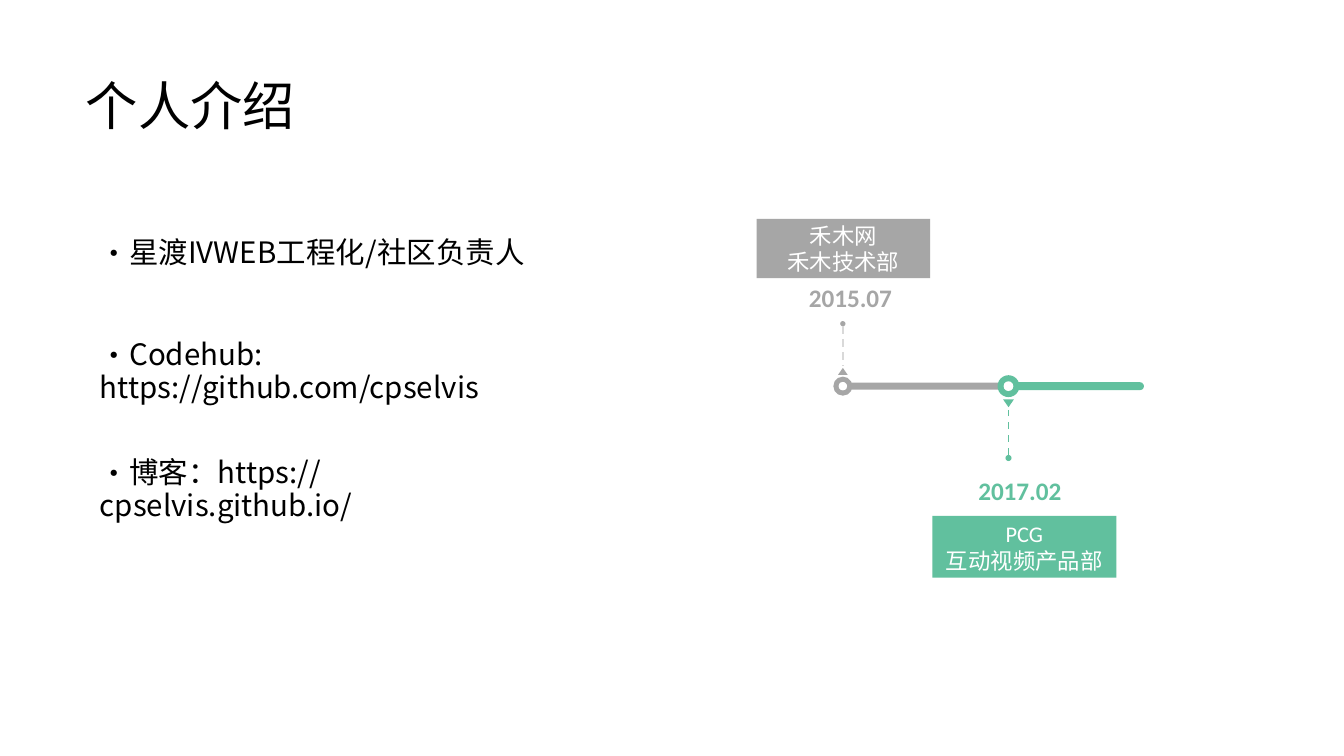
from lxml import etree
from pptx import Presentation
from pptx.dml.color import RGBColor
from pptx.enum.dml import MSO_LINE
from pptx.enum.shapes import MSO_CONNECTOR, MSO_SHAPE
from pptx.enum.text import MSO_ANCHOR, MSO_AUTO_SIZE, PP_ALIGN
from pptx.oxml.ns import qn
from pptx.util import Cm, Pt

OVAL, RECTANGLE = MSO_SHAPE.OVAL, MSO_SHAPE.RECTANGLE
TRIANGLE, ROUNDED = MSO_SHAPE.ISOSCELES_TRIANGLE, MSO_SHAPE.ROUNDED_RECTANGLE
STRAIGHT, DASH = MSO_CONNECTOR.STRAIGHT, MSO_LINE.DASH
TOP, MIDDLE = MSO_ANCHOR.TOP, MSO_ANCHOR.MIDDLE
LEFT, CENTER = PP_ALIGN.LEFT, PP_ALIGN.CENTER
NO_AUTOFIT = MSO_AUTO_SIZE.NONE

BLACK = RGBColor(0x00, 0x00, 0x00)
WHITE = RGBColor(0xFF, 0xFF, 0xFF)
GRAY = RGBColor(0xA6, 0xA6, 0xA6)
LIGHT_GRAY = RGBColor(0xD9, 0xD9, 0xD9)
GREEN = RGBColor(0x61, 0xC0, 0x9E)
CJK_FONT = "Noto Sans CJK SC"


def write(box, lines, size, color, font=CJK_FONT, bold=False, align=LEFT,
          anchor=MIDDLE, spacing=0.9, gaps=(), bullet=None, wrap=True):
    """Fill a box with one paragraph per line; gaps are the spaces before them."""
    frame = box.text_frame
    frame.text = "\n".join(lines)
    frame.word_wrap = wrap
    frame.auto_size = NO_AUTOFIT
    frame.vertical_anchor = anchor
    for index, para in enumerate(frame.paragraphs):
        para.alignment = align
        para.line_spacing = spacing
        para.space_before = Pt(gaps[index] if gaps else 0)
        if bullet:
            properties = para._p.get_or_add_pPr()
            properties.set("marL", "0")
            properties.set("indent", "0")
            etree.SubElement(properties, qn("a:buFont"), typeface=font)
            etree.SubElement(properties, qn("a:buChar"), char=bullet)
        for span in para.runs:
            span.font.name = font
            span.font.size = Pt(size)
            span.font.bold = bold
            span.font.color.rgb = color
            etree.SubElement(span._r.get_or_add_rPr(), qn("a:ea"), typeface=CJK_FONT)


def add_filled(kind, left, top, width, height, color):
    shape = slide.shapes.add_shape(kind, Cm(left), Cm(top), Cm(width), Cm(height))
    shape.shadow.inherit = False
    shape.fill.solid()
    shape.fill.fore_color.rgb = color
    shape.line.fill.background()
    return shape


deck = Presentation()
deck.slide_width, deck.slide_height = Cm(25.4), Cm(14.29)
slide = deck.slides.add_slide(deck.slide_layouts[1])
title, body = slide.placeholders

title.left, title.top, title.width, title.height = Cm(1.37), Cm(1.4), Cm(5.11), Cm(1.3)
write(title, ["个人介绍"], 28, BLACK)

body.left, body.top, body.width, body.height = Cm(1.63), Cm(4.34), Cm(10.6), Cm(5.1)
write(body, [
    "星渡IVWEB工程化/社区负责人",
    "Codehub: https://github.com/cpselvis",
    "博客：https://\vcpselvis.github.io/",
], 15.8, BLACK, anchor=TOP, spacing=Pt(17.7), gaps=(0, 37, 28), bullet="·")

# Timeline: center x, direction of the marker, scale, bar length, colors,
# date and its place, label lines and their box
AXIS = 7.3
milestones = [
    (15.93, -1, 1, 3.18, GRAY, LIGHT_GRAY, "2015.07", (15.04, 5.21),
     ["禾木网", "禾木技术部"], (14.3, 4.14, 3.28, 1.12)),
    (19.06, 1, 1.15, 2.72, GREEN, GREEN, "2017.02", (18.24, 8.86),
     ["PCG", "互动视频产品部"], (17.62, 9.75, 3.48, 1.17)),
]
for (center, side, scale, length, color, dash_color, date, date_place,
     label, label_box) in milestones:
    thickness = 0.13 * scale
    bar = add_filled(ROUNDED, center - 0.16, AXIS - thickness / 2, length, thickness, color)
    bar.adjustments[0] = 0.5

    # Ring, its hole, arrow tip and end dot, all centered on the milestone
    for kind, offset, width, height, fill in [
        (OVAL, 0, 0.36, 0.36, color),
        (OVAL, 0, 0.16, 0.16, WHITE),
        (TRIANGLE, 0.28, 0.18, 0.13, color),
        (OVAL, 1.18, 0.1, 0.1, color),
    ]:
        width, height = width * scale, height * scale
        middle = AXIS + side * offset * scale
        part = add_filled(kind, center - width / 2, middle - height / 2, width, height, fill)
        if kind == TRIANGLE and side > 0:
            part.rotation = 180

    start, end = (Cm(AXIS + side * offset * scale) for offset in (1.13, 0.39))
    stem = slide.shapes.add_connector(STRAIGHT, Cm(center), start, Cm(center), end)
    stem.line.color.rgb = dash_color
    stem.line.width = Pt(1)
    stem.line.dash_style = DASH
    etree.SubElement(stem._element.spPr, qn("a:effectLst"))

    date_left, date_top = date_place
    date_box = slide.shapes.add_textbox(Cm(date_left), Cm(date_top), Cm(2.11), Cm(0.84))
    write(date_box, [date], 13.5, color, font="Calibri", bold=True,
          anchor=TOP, spacing=1.0, wrap=False)

    label_shape = add_filled(RECTANGLE, *label_box, color)
    label_shape.text_frame.margin_left = label_shape.text_frame.margin_right = 0
    write(label_shape, label, 12, WHITE, font="Calibri", align=CENTER, spacing=Pt(14.4))

deck.save("out.pptx")
